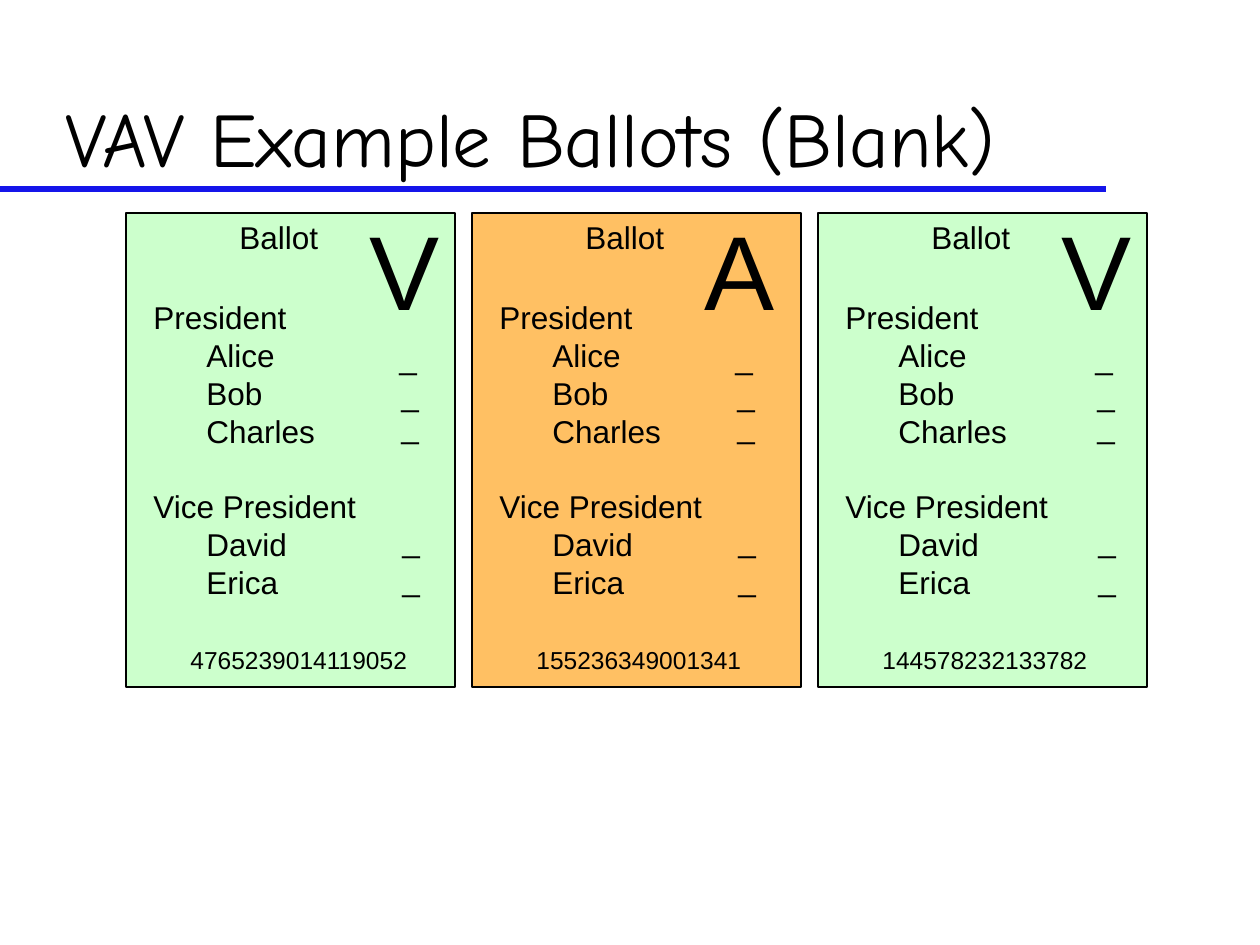
from lxml.etree import SubElement
from pptx import Presentation
from pptx.dml.color import RGBColor
from pptx.enum.shapes import MSO_CONNECTOR, MSO_SHAPE
from pptx.enum.text import MSO_ANCHOR, MSO_AUTO_SIZE, PP_ALIGN
from pptx.oxml.ns import qn
from pptx.util import Pt

BLACK = RGBColor(0, 0, 0)
BLUE = RGBColor(0x15, 0x15, 0xEA)
GREEN = RGBColor(0xCC, 0xFF, 0xCC)
ORANGE = RGBColor(0xFF, 0x99, 0x00)

TITLE = "VAV Example Ballots (Blank)"
RACES = [
    ("President", ["Alice", "Bob", "Charles"]),
    ("Vice President", ["David", "Erica"]),
]
BALLOTS = [
    {"left": 126, "letter": "V", "serial": "4765239014119052",
     "fill": GREEN, "alpha": 100, "corner": 231, "mark": 263, "width": 246},
    {"left": 472, "letter": "A", "serial": "155236349001341",
     "fill": ORANGE, "alpha": 61, "corner": 220, "mark": 253, "width": 233},
    {"left": 818, "letter": "V", "serial": "144578232133782",
     "fill": GREEN, "alpha": 100, "corner": 231, "mark": 267, "width": 233},
]
MARKS = [(-2, 332), (0, 369), (0, 401), (1, 515), (1, 554)]
INDENT = 53
LEAD = 1.2


def px(n):
    return round(n * 914400 / 126)


def style(para, size, font="Arial"):
    para.alignment = PP_ALIGN.LEFT
    para.font.size = Pt(size)
    para.font.name = font
    para.font.color.rgb = BLACK


def write(slide, text, left, top, width, height, size=18):
    box = slide.shapes.add_textbox(px(left), px(top), px(width), px(height))
    frame = box.text_frame
    frame.word_wrap = False
    frame.text = text
    for para in frame.paragraphs:
        style(para, size)
        para.line_spacing = Pt(size * LEAD)
    return frame


def draw_card(slide, left, fill, alpha):
    card = slide.shapes.add_shape(
        MSO_SHAPE.RECTANGLE, px(left), px(213), px(329), px(474))
    card.shadow.inherit = False
    card.fill.solid()
    card.fill.fore_color.rgb = fill
    card.line.color.rgb = BLACK
    card.line.width = Pt(0.75)
    if alpha < 100:
        tint = card.fill._xPr.find(qn("a:solidFill"))[0]
        SubElement(tint, qn("a:alpha"), val=str(alpha * 1000))


def draw_races(slide, left):
    rows = [row for race, names in RACES for row in (race, *names)]
    heads = [race for race, names in RACES]
    frame = write(slide, "\n".join(rows), left + 15, 292, 232, 315)
    for i, para in enumerate(frame.paragraphs):
        if para.text not in heads:
            para._p.get_or_add_pPr().set("marL", str(px(INDENT)))
        elif i:
            para.space_before = Pt(18 * LEAD)


def draw_ballot(slide, ballot):
    left = ballot["left"]
    draw_card(slide, left, ballot["fill"], ballot["alpha"])
    write(slide, "Ballot", left + 101, 212, 108, 50)
    draw_races(slide, left)
    write(slide, ballot["serial"], left + 52, 639, ballot["width"], 43, size=14)
    write(slide, ballot["letter"], left + ballot["corner"], 199, 96, 139, size=60)
    for shift, top in MARKS:
        write(slide, "_", left + ballot["mark"] + shift, top, 43, 50)


def draw_title(slide):
    rule = slide.shapes.add_connector(
        MSO_CONNECTOR.STRAIGHT, 0, px(189), px(1106), px(189))
    rule.line.color.rgb = BLUE
    rule.line.width = Pt(4)
    SubElement(rule._element.spPr, qn("a:effectLst"))
    title = slide.shapes.title
    title.left, title.top, title.width, title.height = map(px, (53, 37, 1071, 152))
    frame = title.text_frame
    frame.text = TITLE
    frame.word_wrap = True
    frame.auto_size = MSO_AUTO_SIZE.NONE
    frame.vertical_anchor = MSO_ANCHOR.BOTTOM
    style(frame.paragraphs[0], 44, font="Comic Neue")


def main():
    deck = Presentation()
    deck.slide_width, deck.slide_height = px(1260), px(945)
    slide = deck.slides.add_slide(deck.slide_layouts[5])
    draw_title(slide)
    for ballot in BALLOTS:
        draw_ballot(slide, ballot)
    deck.save("out.pptx")


if __name__ == "__main__":
    main()
